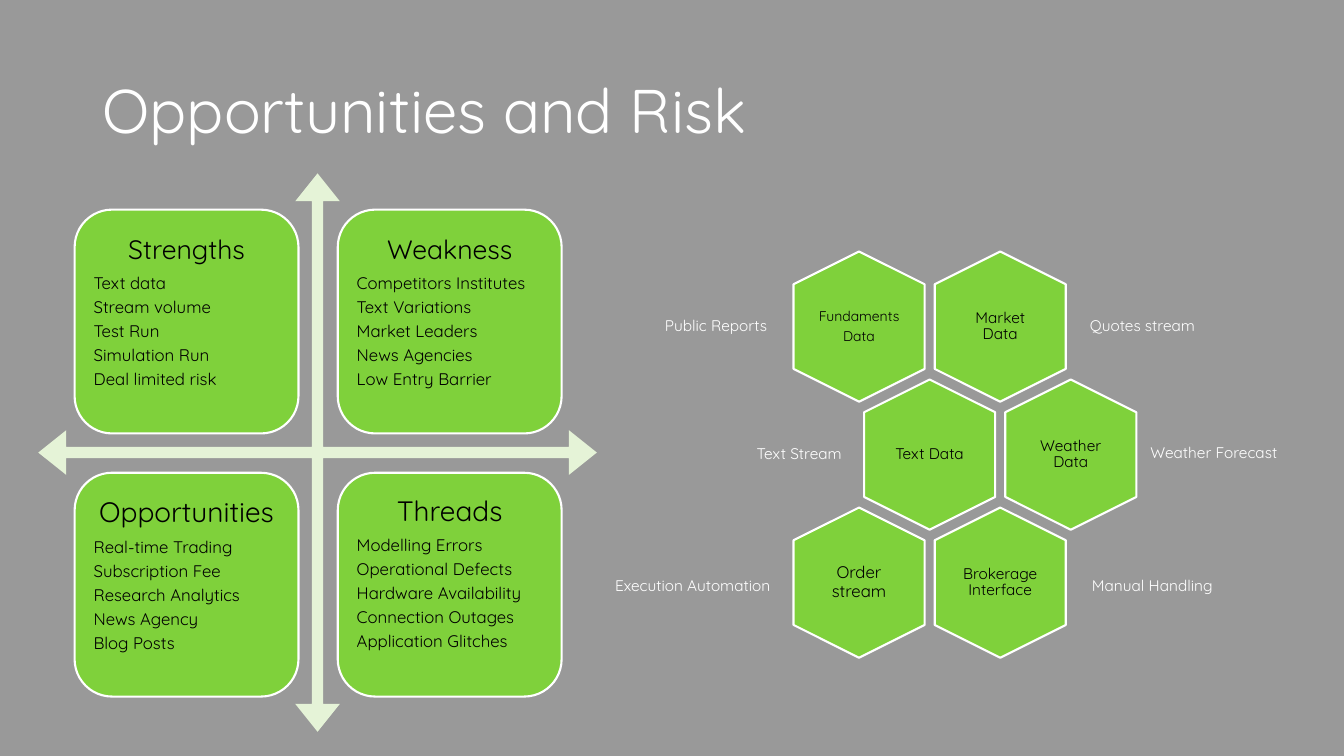
from pptx import Presentation
from pptx.dml.color import RGBColor
from pptx.enum.shapes import MSO_SHAPE
from pptx.enum.text import MSO_ANCHOR, PP_ALIGN
from pptx.util import Inches, Pt

LEFT, CENTER, RIGHT = PP_ALIGN.LEFT, PP_ALIGN.CENTER, PP_ALIGN.RIGHT
MIDDLE = MSO_ANCHOR.MIDDLE
ROUNDED, HEXAGON, QUAD_ARROW = (
    MSO_SHAPE.ROUNDED_RECTANGLE, MSO_SHAPE.HEXAGON, MSO_SHAPE.QUAD_ARROW)

FONT = "Quicksand"
GRAY, GREEN, PALE, WHITE, BLACK = "999999", "7FD13B", "E5F3D7", "FFFFFF", "000000"

CARD_LEFT, CARD_TOP, CARD_SIZE, CARD_PITCH = 0.74, 2.08, 2.22, 2.61
HEX_X, HEX_Y, HEX_COLUMN, HEX_ROW = 8.52, 3.24, 1.4, 1.27
HEX_LENGTH, HEX_WIDTH = 1.49, 1.3
HEX_TEXT_WIDTH, HEX_TEXT_HEIGHT = 0.89, 1.03
LABEL_HEIGHT = 0.89

CARDS = [
    (0, 0, "Strengths", 19, 0.25,
     ["Text data", "Stream volume", "Test Run", "Simulation Run", "Deal limited risk"]),
    (1, 0, "Weakness", 19, 0.25,
     ["Competitors Institutes", "Text Variations", "Market Leaders", "News Agencies",
      "Low Entry Barrier"]),
    (0, 1, "Opportunities", 20, 0.26,
     ["Real-time Trading", "Subscription Fee", "Research Analytics", "News Agency",
      "Blog Posts"]),
    (1, 1, "Threads", 20, 0.29,
     ["Modelling Errors", "Operational Defects", "Hardware Availability",
      "Connection Outages", "Application Glitches"]),
]

HEXAGONS = [
    (1, 0, ["Market Data"], 11, 0.05),
    (0, 0, ["Fundaments", "Data"], 10, 0),
    (0.5, 1, ["Text Data"], 11, 0.05),
    (1.5, 1, ["Weather Data"], 11, 0),
    (1, 2, ["Brokerage Interface"], 11, 0.05),
    (0, 2, ["Order stream"], 12, 0),
]

LABELS = [
    (10.76, 3.24, 1.66, LEFT, "Quotes stream"),
    (6.79, 4.51, 1.61, RIGHT, "Text Stream"),
    (10.78, 5.82, 1.66, LEFT, "Manual Handling"),
    (6.05, 3.24, 1.61, RIGHT, "Public Reports"),
    (11.36, 4.5, 1.97, LEFT, "Weather Forecast"),
    (6.05, 5.82, 2.02, LEFT, "Execution Automation"),
]


def rgb(color):
    return RGBColor.from_string(color)


def set_frame(shape, left, top, right, bottom):
    frame = shape.text_frame
    frame.word_wrap = True
    frame.vertical_anchor = MIDDLE
    frame.margin_left, frame.margin_right = Inches(left), Inches(right)
    frame.margin_top, frame.margin_bottom = Inches(top), Inches(bottom)
    return frame


def write(paragraph, text, size, color, align=LEFT, before=0):
    paragraph.alignment = align
    paragraph.line_spacing = 0.9
    paragraph.space_before = Pt(before)
    run = paragraph.add_run()
    run.text = text
    run.font.name = FONT
    run.font.size = Pt(size)
    run.font.color.rgb = rgb(color)


def add_text(slide, box, lines, size, color, align=LEFT, inset=(0.1, 0.05)):
    shape = slide.shapes.add_textbox(*map(Inches, box))
    frame = set_frame(shape, *inset, *inset)
    for index, line in enumerate(lines):
        paragraph = frame.add_paragraph() if index else frame.paragraphs[0]
        write(paragraph, line, size, color, align, 3.5 if index else 0)


def add_figure(slide, kind, box, fill, adjustments, outlined=True):
    shape = slide.shapes.add_shape(kind, *map(Inches, box))
    shape.shadow.inherit = False
    shape.fill.solid()
    shape.fill.fore_color.rgb = rgb(fill)
    if outlined:
        shape.line.color.rgb = rgb(WHITE)
        shape.line.width = Pt(1.5)
    else:
        shape.line.fill.background()
    for index, value in enumerate(adjustments):
        shape.adjustments[index] = value
    return shape


def add_card(slide, column, row, heading, size, bottom, items):
    box = (CARD_LEFT + column * CARD_PITCH, CARD_TOP + row * CARD_PITCH,
           CARD_SIZE, CARD_SIZE)
    card = add_figure(slide, ROUNDED, box, GREEN, [0.167])
    frame = set_frame(card, 0.08, 0.08, 0.08, bottom)
    write(frame.paragraphs[0], heading, size, BLACK, CENTER)
    for index, item in enumerate(items):
        before = 4.2 if index else size * 0.35
        write(frame.add_paragraph(), item, 12, BLACK, LEFT, before)


def centered(x, y, width, height):
    return x - width / 2, y - height / 2, width, height


def add_hexagon(slide, column, row, lines, size, inset):
    x, y = HEX_X + column * HEX_COLUMN, HEX_Y + row * HEX_ROW
    hexagon = add_figure(slide, HEXAGON, centered(x, y, HEX_LENGTH, HEX_WIDTH),
                         GREEN, [0.25])
    hexagon.rotation = 90
    add_text(slide, centered(x, y, HEX_TEXT_WIDTH, HEX_TEXT_HEIGHT),
             lines, size, BLACK, CENTER, (inset, inset))


def add_label(slide, left, middle, width, align, text):
    box = (left, middle - LABEL_HEIGHT / 2, width, LABEL_HEIGHT)
    add_text(slide, box, [text], 11, WHITE, align, (0.05, 0.05))


def main():
    presentation = Presentation()
    presentation.slide_width, presentation.slide_height = Inches(13.33), Inches(7.5)
    slide = presentation.slides.add_slide(presentation.slide_layouts[6])
    slide.background.fill.solid()
    slide.background.fill.fore_color.rgb = rgb(GRAY)

    add_text(slide, (0.92, 0.4, 11.5, 1.45), ["Opportunities and Risk"], 44, WHITE)
    add_figure(slide, QUAD_ARROW, (0.38, 1.72, 5.54, 5.54), PALE,
               [0.02, 0.04, 0.05], outlined=False)
    for card in CARDS:
        add_card(slide, *card)
    for hexagon in HEXAGONS:
        add_hexagon(slide, *hexagon)
    for label in LABELS:
        add_label(slide, *label)

    presentation.save("out.pptx")


if __name__ == "__main__":
    main()
